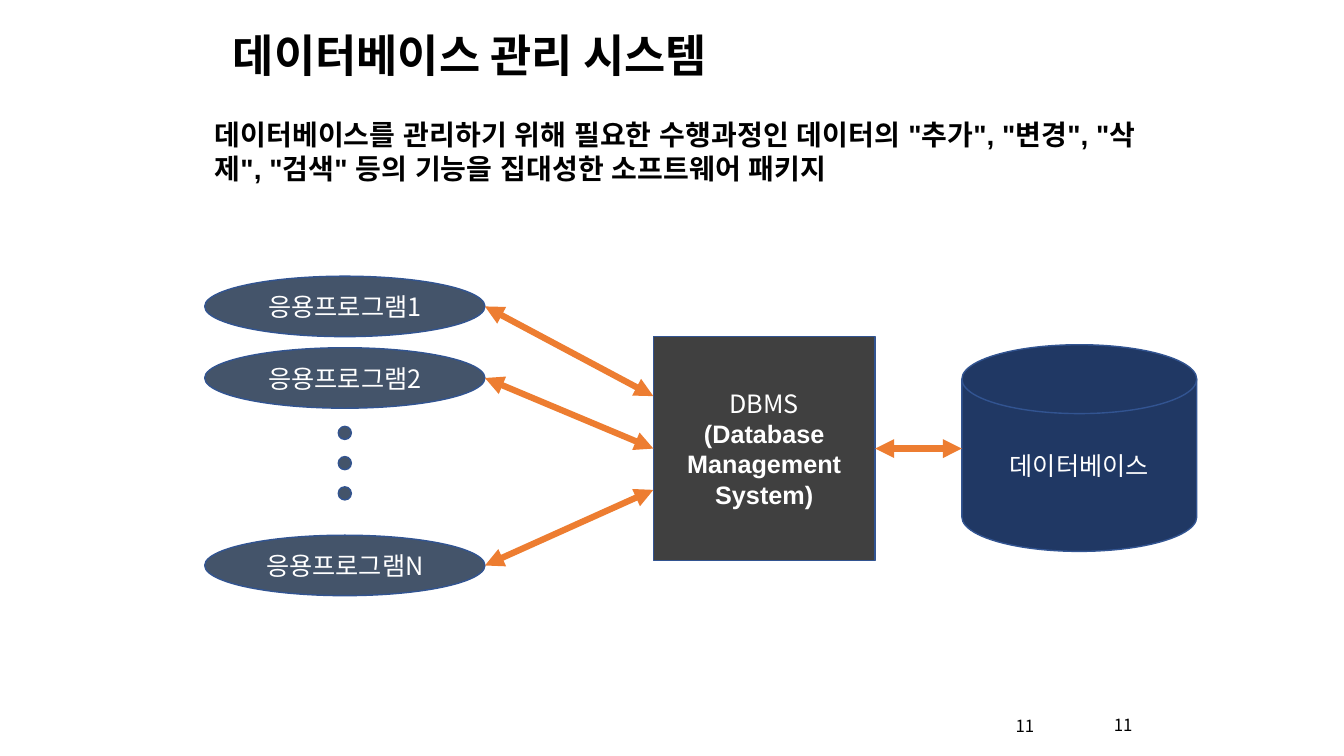
from typing import NamedTuple, Optional

from lxml.etree import SubElement
from pptx import Presentation
from pptx.dml.color import RGBColor
from pptx.enum.shapes import MSO_CONNECTOR, MSO_SHAPE
from pptx.enum.text import MSO_ANCHOR, MSO_AUTO_SIZE, PP_ALIGN
from pptx.oxml.ns import qn
from pptx.util import Inches, Pt

BLACK = RGBColor(0x00, 0x00, 0x00)
WHITE = RGBColor(0xFF, 0xFF, 0xFF)
SLATE = RGBColor(0x44, 0x54, 0x6A)
NAVY = RGBColor(0x20, 0x38, 0x64)
GRAY = RGBColor(0x40, 0x40, 0x40)
EDGE = RGBColor(0x32, 0x54, 0x91)
ORANGE = RGBColor(0xED, 0x7D, 0x31)

SANS = "Noto Sans CJK KR"
ARIAL = "Arial"

APP_LEFT, APP_WIDTH, APP_HEIGHT = 2.03, 2.78, 0.6
DBMS_LEFT, DBMS_MID = 6.48, 4.45
DISK_LEFT = 9.54
DOT_SIZE, DOT_TOP, DOT_STEP = 0.13, 4.23, 0.3


class Box(NamedTuple):
    left: float
    top: float
    width: float
    height: float


class App(NamedTuple):
    name: str
    top: float
    end: float  # height at which its arrow meets the DBMS
    side: Optional[int] = None


APPS = [
    App("응용프로그램1", 2.74, 3.93),
    App("응용프로그램2", 3.45, DBMS_MID, side=1),
    App("응용프로그램N", 5.31, 4.86),
]


def write(par, text, size=18, font=SANS, color=WHITE, bold=False, align=PP_ALIGN.CENTER):
    """Add a run whose font covers both Latin and Korean letters."""
    par.alignment = align
    run = par.add_run()
    run.text = text
    run.font.size = Pt(size)
    run.font.name = font
    run.font.bold = bold
    run.font.color.rgb = color
    SubElement(run.font._element, qn("a:ea"), typeface=font)


def place(box: Box) -> tuple:
    return tuple(Inches(value) for value in box)


def add_label(slide, box: Box, text: str, anchor=MSO_ANCHOR.TOP, **style):
    frame = slide.shapes.add_textbox(*place(box)).text_frame
    frame.word_wrap = True
    frame.vertical_anchor = anchor
    write(frame.paragraphs[0], text, color=BLACK, **style)
    return frame


def add_node(slide, kind: MSO_SHAPE, box: Box, fill: RGBColor, text: str = ""):
    node = slide.shapes.add_shape(kind, *place(box))
    node.shadow.inherit = False
    node.fill.solid()
    node.fill.fore_color.rgb = fill
    node.line.color.rgb = EDGE
    node.line.width = Pt(1)
    node.text_frame.vertical_anchor = MSO_ANCHOR.MIDDLE
    if text:
        write(node.text_frame.paragraphs[0], text)
    return node


def add_arrow(slide, x1: float, y1: float, x2: float, y2: float):
    """Draw a line with a triangle at both ends."""
    ends = [Inches(value) for value in (x1, y1, x2, y2)]
    arrow = slide.shapes.add_connector(MSO_CONNECTOR.STRAIGHT, *ends)
    arrow.line.color.rgb = ORANGE
    arrow.line.width = Pt(4.5)
    for tag in ("a:headEnd", "a:tailEnd"):
        SubElement(arrow.line._get_or_add_ln(), qn(tag), type="triangle")
    SubElement(arrow._element.spPr, qn("a:effectLst"))
    return arrow


def add_title(slide) -> None:
    title = slide.shapes.title
    title.left, title.top, title.width, title.height = place(Box(2.21, 0.23, 9, 0.63))
    title.text_frame.vertical_anchor = MSO_ANCHOR.MIDDLE
    title.text_frame.auto_size = MSO_AUTO_SIZE.NONE
    write(title.text_frame.paragraphs[0], "데이터베이스 관리 시스템",
          size=32, color=BLACK, bold=True, align=PP_ALIGN.LEFT)


def add_text(slide) -> None:
    page = Box(9, 7.06, 2.33, 0.28)
    add_label(slide, page, "11", MSO_ANCHOR.MIDDLE, size=12)
    add_label(slide, page, "11", MSO_ANCHOR.BOTTOM, size=12, align=PP_ALIGN.RIGHT)
    intro = add_label(
        slide, Box(2.03, 1.12, 9.75, 0.77),
        '데이터베이스를 관리하기 위해 필요한 수행과정인 데이터의 "추가", "변경", '
        '"삭제", "검색" 등의 기능을 집대성한 소프트웨어 패키지',
        size=20, font=ARIAL, bold=True, align=PP_ALIGN.LEFT)
    intro.auto_size = MSO_AUTO_SIZE.SHAPE_TO_FIT_TEXT


def add_diagram(slide) -> None:
    dbms = add_node(slide, MSO_SHAPE.RECTANGLE, Box(DBMS_LEFT, 3.34, 2.2, 2.22), GRAY, "DBMS")
    write(dbms.text_frame.add_paragraph(), "(Database Management System)", font=ARIAL, bold=True)
    add_node(slide, MSO_SHAPE.FLOWCHART_MAGNETIC_DISK,
             Box(DISK_LEFT, 3.42, 2.33, 2.05), NAVY, "데이터베이스")

    for app in APPS:
        add_node(slide, MSO_SHAPE.OVAL, Box(APP_LEFT, app.top, APP_WIDTH, APP_HEIGHT),
                 SLATE, app.name)
        arrow = add_arrow(slide, APP_LEFT + APP_WIDTH, app.top + APP_HEIGHT / 2,
                          DBMS_LEFT, app.end)
        if app.side is not None:
            arrow.end_connect(dbms, app.side)

    dot_left = APP_LEFT + (APP_WIDTH - DOT_SIZE) / 2
    for i in range(3):
        add_node(slide, MSO_SHAPE.OVAL,
                 Box(dot_left, DOT_TOP + i * DOT_STEP, DOT_SIZE, DOT_SIZE), SLATE)

    link = add_arrow(slide, DBMS_LEFT + 2.2, DBMS_MID, DISK_LEFT, DBMS_MID)
    link.begin_connect(dbms, 3)


def main() -> None:
    deck = Presentation()
    deck.slide_width, deck.slide_height = Inches(13.33), Inches(7.5)
    slide = deck.slides.add_slide(deck.slide_layouts.get_by_name("Title Only"))
    add_title(slide)
    add_text(slide)
    add_diagram(slide)
    deck.save("out.pptx")


if __name__ == "__main__":
    main()
